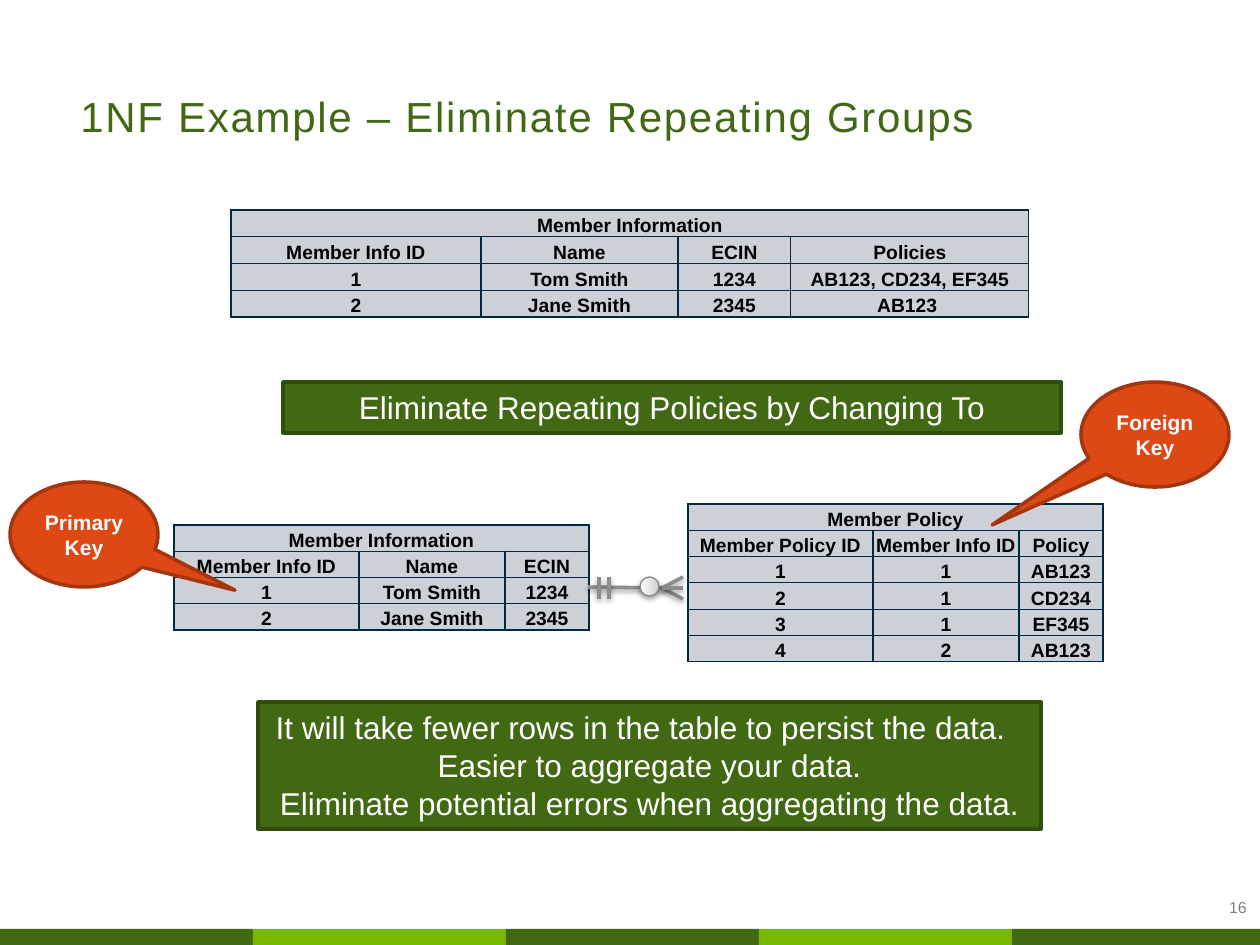
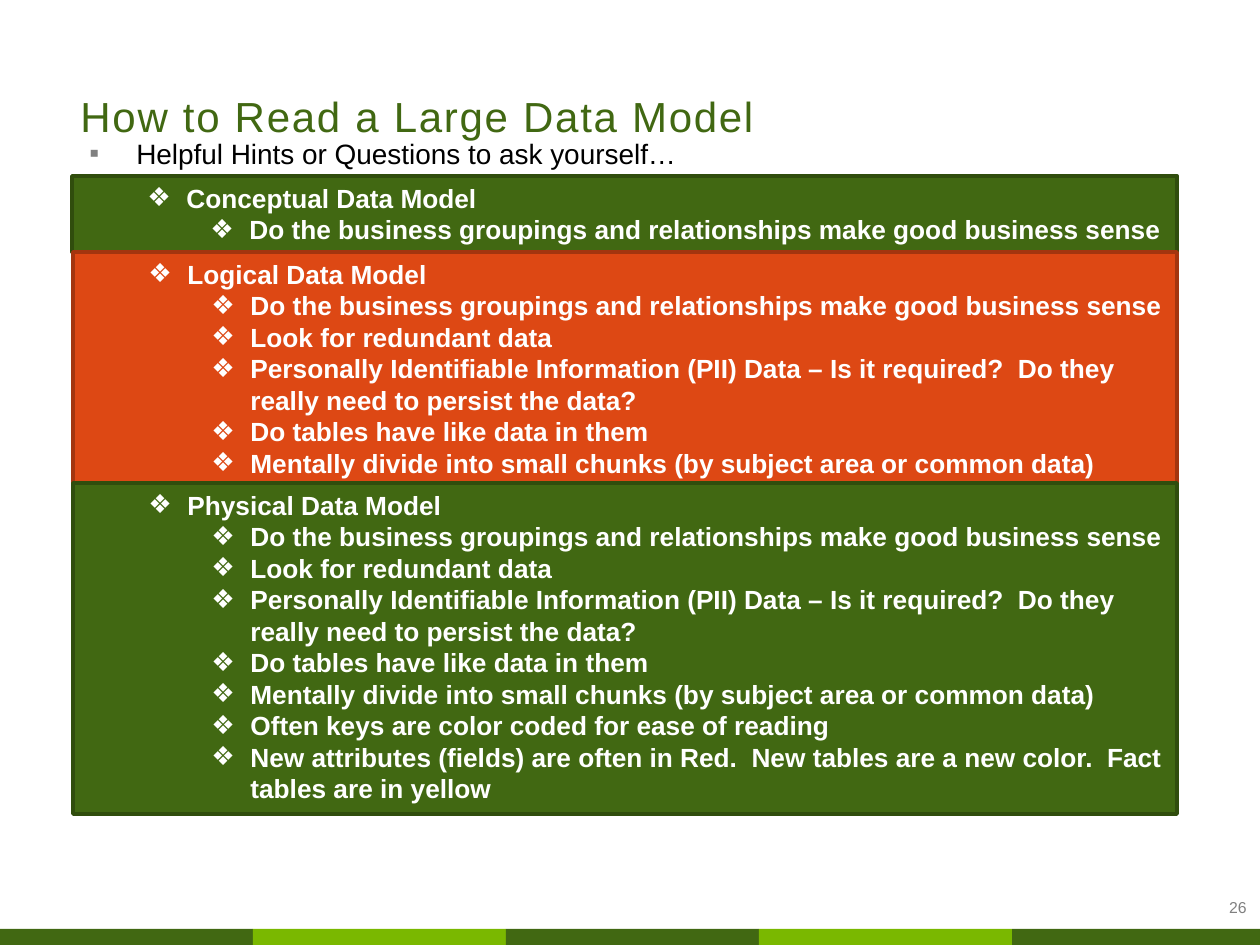
from lxml import etree
from pptx import Presentation, util as u
from pptx.dml.color import RGBColor
from pptx.enum import shapes, text
from pptx.oxml import ns

# Content: places and sizes in px, 126 to the inch
FONT = "Arial"
GREEN, GREEN_EDGE = RGBColor(0x41, 0x68, 0x12), RGBColor(0x30, 0x4D, 0x0D)
ORANGE, ORANGE_EDGE = RGBColor(0xDD, 0x48, 0x14), RGBColor(0xA3, 0x35, 0x0F)
LIME = RGBColor(0x7A, 0xB8, 0x00)
WHITE, BLACK = RGBColor(0xFF, 0xFF, 0xFF), RGBColor(0, 0, 0)
GREY, LINK_GREY = RGBColor(0x80, 0x80, 0x80), RGBColor(0x8B, 0x8D, 0x8E)
RING_EDGE, RING_SHADE = RGBColor(0x88, 0x8A, 0x8B), RGBColor(0xCF, 0xD1, 0xD2)
CELL_FILL, CELL_EDGE = RGBColor(0xCD, 0xD0, 0xD7), RGBColor(0x00, 0x2A, 0x43)

PAGE_WIDTH, PAGE_HEIGHT = 1260, 945
BAND_WIDTH, BAND_HEIGHT = 253, 16

# (left, top, height, column widths, heading, rows)
TABLES = [
    (231, 210, 107, (250, 197, 113, 238), "Member Information", [
        ("Member Info ID", "Name", "ECIN", "Policies"),
        ("1", "Tom Smith", "1234", "AB123, CD234, EF345"),
        ("2", "Jane Smith", "2345", "AB123 ")]),
    (174, 525, 105, (185, 146, 84), "Member Information", [
        ("Member Info ID", "Name", "ECIN"),
        ("1", "Tom Smith", "1234"),
        ("2", "Jane Smith", "2345")]),
    (688, 504, 158, (185, 146, 84), "Member Policy", [
        ("Member Policy ID", "Member Info ID", "Policy"),
        ("1", "1", "AB123"),
        ("2", "1", "CD234"),
        ("3", "1", "EF345"),
        ("4", "2", "AB123")]),
]
BANNERS = [
    ((283, 382, 778, 51), ["Eliminate Repeating Policies by Changing To"]),
    ((258, 702, 783, 127), [
        "It will take fewer rows in the table to persist the data.  ",
        "Easier to aggregate your data.",
        "Eliminate potential errors when aggregating the data."]),
]
CALLOUTS = [
    ((10, 482, 148, 105), (1.02, 0.53), "Primary Key"),
    ((1081, 382, 148, 105), (-1.1, 0.86), "Foreign Key"),
]
# One-to-many link: stem, crow's foot, then the two bars
FORK = (662, 588)
LINK_LINES = [((588, 587), FORK)]
LINK_LINES += [((683, y), FORK) for y in (599, 577, 588)]
LINK_LINES += [((x, 577), (x, 599)) for x in (599, 609)]
LINK_RING = (640, 577, 19, 19)

HINT = "Helpful Hints or Questions to ask yourself…"
BUSINESS_HINT = "Do the business groupings and relationships make good business sense"
LOGICAL_HINTS = [
    BUSINESS_HINT,
    "Look for redundant data",
    "Personally Identifiable Information (PII) Data – Is it required?  "
    "Do they really need to persist the data?",
    "Do tables have like data in them",
    "Mentally divide into small chunks (by subject area or common data)",
]
PHYSICAL_HINTS = LOGICAL_HINTS + [
    "Often keys are color coded for ease of reading",
    "New attributes (fields) are often in Red.  New tables are a new color.  "
    "Fact tables are in yellow",
]
MODELS = [
    ((72, 176, 1105, 76), GREEN, GREEN_EDGE, "Conceptual Data Model", [BUSINESS_HINT]),
    ((73, 252, 1104, 235), ORANGE, ORANGE_EDGE, "Logical Data Model", LOGICAL_HINTS),
    ((73, 483, 1104, 331), GREEN, GREEN_EDGE, "Physical Data Model", PHYSICAL_HINTS),
]


def px(length):
    return u.Emu(round(length * 914400 / 126))


def place(area):
    return [px(length) for length in area]


def add_xml(parent, tag, **attributes):
    return etree.SubElement(parent, ns.qn(tag), attributes)


def style(para, size, color, bold=False, align=text.PP_ALIGN.LEFT):
    para.alignment = align
    font = para.font
    font.name, font.size, font.bold = FONT, u.Pt(size), bold
    font.color.rgb = color


def add_bullet(para, mark, color, margin, hanging):
    props = para._p.get_or_add_pPr()
    props.set("marL", str(px(margin)))
    props.set("indent", str(-px(hanging)))
    add_xml(add_xml(props, "a:buClr"), "a:srgbClr", val=str(color))
    add_xml(props, "a:buFont", typeface=FONT)
    add_xml(props, "a:buChar", char=mark)


def add_paragraphs(frame, lines):
    for index, line in enumerate(lines):
        para = frame.paragraphs[0] if index == 0 else frame.add_paragraph()
        para.add_run().text = line
        yield para


def add_text(page, area, line):
    box = page.shapes.add_textbox(*place(area))
    box.text_frame.word_wrap = True
    return box.text_frame, next(add_paragraphs(box.text_frame, [line]))


def add_box(page, kind, area, fill, edge=None):
    box = page.shapes.add_shape(kind, *place(area))
    box.shadow.inherit = False
    box.fill.solid()
    box.fill.fore_color.rgb = fill
    if edge is None:
        box.line.fill.background()
    else:
        box.line.color.rgb, box.line.width = edge, u.Pt(2)
    box.text_frame.word_wrap = True
    return box


def add_panel(page, area, fill, edge):
    frame = add_box(page, shapes.MSO_SHAPE.RECTANGLE, area, fill, edge).text_frame
    frame.vertical_anchor = text.MSO_ANCHOR.TOP
    frame.auto_size = text.MSO_AUTO_SIZE.SHAPE_TO_FIT_TEXT
    return frame


def add_page(deck, title, number):
    page = deck.slides.add_slide(deck.slide_layouts[6])
    # Footer band
    for index in range(5):
        left = index * BAND_WIDTH
        area = (left, PAGE_HEIGHT - BAND_HEIGHT,
                min(BAND_WIDTH, PAGE_WIDTH - left), BAND_HEIGHT)
        add_box(page, shapes.MSO_SHAPE.RECTANGLE, area, LIME if index % 2 else GREEN)
    # Title
    frame, para = add_text(page, (68, 47, 1129, 94), title)
    frame.vertical_anchor, frame.margin_bottom = text.MSO_ANCHOR.BOTTOM, 0
    style(para, 24, GREEN)
    para.line_spacing = u.Pt(26.8)
    para.runs[0]._r.get_or_add_rPr().set("spc", "100")
    # Page number
    _, para = add_text(page, (1174, 892, 85, 25), number)
    style(para, 9, GREY, align=text.PP_ALIGN.RIGHT)
    return page


def fill_cell(cell, words):
    cell.fill.solid()
    cell.fill.fore_color.rgb = CELL_FILL
    cell.vertical_anchor = text.MSO_ANCHOR.BOTTOM
    cell.margin_left = cell.margin_right = cell.margin_top = px(1)
    cell.margin_bottom = 0
    para = cell.text_frame.paragraphs[0]
    if words:
        para.add_run().text = words
    style(para, 11, BLACK, True, text.PP_ALIGN.CENTER)
    # Borders come ahead of the fill
    props = cell._tc.get_or_add_tcPr()
    for index, side in enumerate("LRTB"):
        edge = add_xml(props, f"a:ln{side}", w=str(u.Pt(0.75)))
        add_xml(add_xml(edge, "a:solidFill"), "a:srgbClr", val=str(CELL_EDGE))
        props.insert(index, edge)


def add_grid(page, left, top, height, widths, heading, rows):
    lines = [(heading,) + ("",) * (len(widths) - 1)] + rows
    area = (left, top, sum(widths), height)
    grid = page.shapes.add_table(len(lines), len(widths), *place(area)).table
    grid.first_row = grid.horz_banding = False
    for column, width in zip(grid.columns, widths):
        column.width = px(width)
    for row, line in zip(grid.rows, lines):
        row.height = px(height / len(lines))
        for cell, words in zip(row.cells, line):
            fill_cell(cell, words)
    grid.cell(0, 0).merge(grid.cell(0, len(widths) - 1))


def add_shadow(shape, opacity):
    effects = add_xml(shape._element.spPr, "a:effectLst")
    shadow = add_xml(effects, "a:outerShdw", blurRad=str(u.Pt(3.1)),
                     dist=str(u.Pt(1.6)), dir="5400000", rotWithShape="0")
    color = add_xml(shadow, "a:srgbClr", val=str(BLACK))
    add_xml(color, "a:alpha", val=str(opacity * 1000))


def add_link(page):
    for start, end in LINK_LINES:
        line = page.shapes.add_connector(
            shapes.MSO_CONNECTOR.STRAIGHT, *place(start + end))
        line.line.color.rgb, line.line.width = LINK_GREY, u.Pt(2)
        add_shadow(line, 38)
    ring = page.shapes.add_shape(
        shapes.MSO_SHAPE.FLOWCHART_CONNECTOR, *place(LINK_RING))
    ring.fill.gradient()
    ring.fill.gradient_angle = 0
    for stop, color in zip(ring.fill.gradient_stops, (WHITE, RING_SHADE)):
        stop.color.rgb = color
    ring.line.color.rgb, ring.line.width = RING_EDGE, u.Pt(0.75)
    add_shadow(ring, 35)


def build_first_form(deck):
    page = add_page(deck, "1NF Example – Eliminate Repeating Groups", "16")
    for table in TABLES:
        add_grid(page, *table)
    for area, lines in BANNERS:
        frame = add_panel(page, area, GREEN, GREEN_EDGE)
        for para in add_paragraphs(frame, lines):
            style(para, 18, WHITE, align=text.PP_ALIGN.CENTER)
    add_link(page)
    for area, tip, label in CALLOUTS:
        callout = add_box(page, shapes.MSO_SHAPE.OVAL_CALLOUT, area, ORANGE, ORANGE_EDGE)
        callout.adjustments[0], callout.adjustments[1] = tip
        callout.text_frame.vertical_anchor = text.MSO_ANCHOR.MIDDLE
        para = next(add_paragraphs(callout.text_frame, [label]))
        style(para, 12, WHITE, True, text.PP_ALIGN.CENTER)


def build_model_hints(deck):
    page = add_page(deck, "How to Read a Large Data Model", "26")
    _, para = add_text(page, (77, 130, 1149, 47), HINT)
    add_bullet(para, "▪", GREY, 47, 47)
    style(para, 16, BLACK)
    for area, fill, edge, model, hints in MODELS:
        frame = add_panel(page, area, fill, edge)
        for index, para in enumerate(add_paragraphs(frame, [model] + hints)):
            para.level = 2 if index else 1
            add_bullet(para, "❖", WHITE, 165 if index else 102, 39)
            style(para, 15, WHITE, True)


def main():
    deck = Presentation()
    deck.slide_width, deck.slide_height = px(PAGE_WIDTH), px(PAGE_HEIGHT)
    build_first_form(deck)
    build_model_hints(deck)
    deck.save("out.pptx")


if __name__ == "__main__":
    main()
